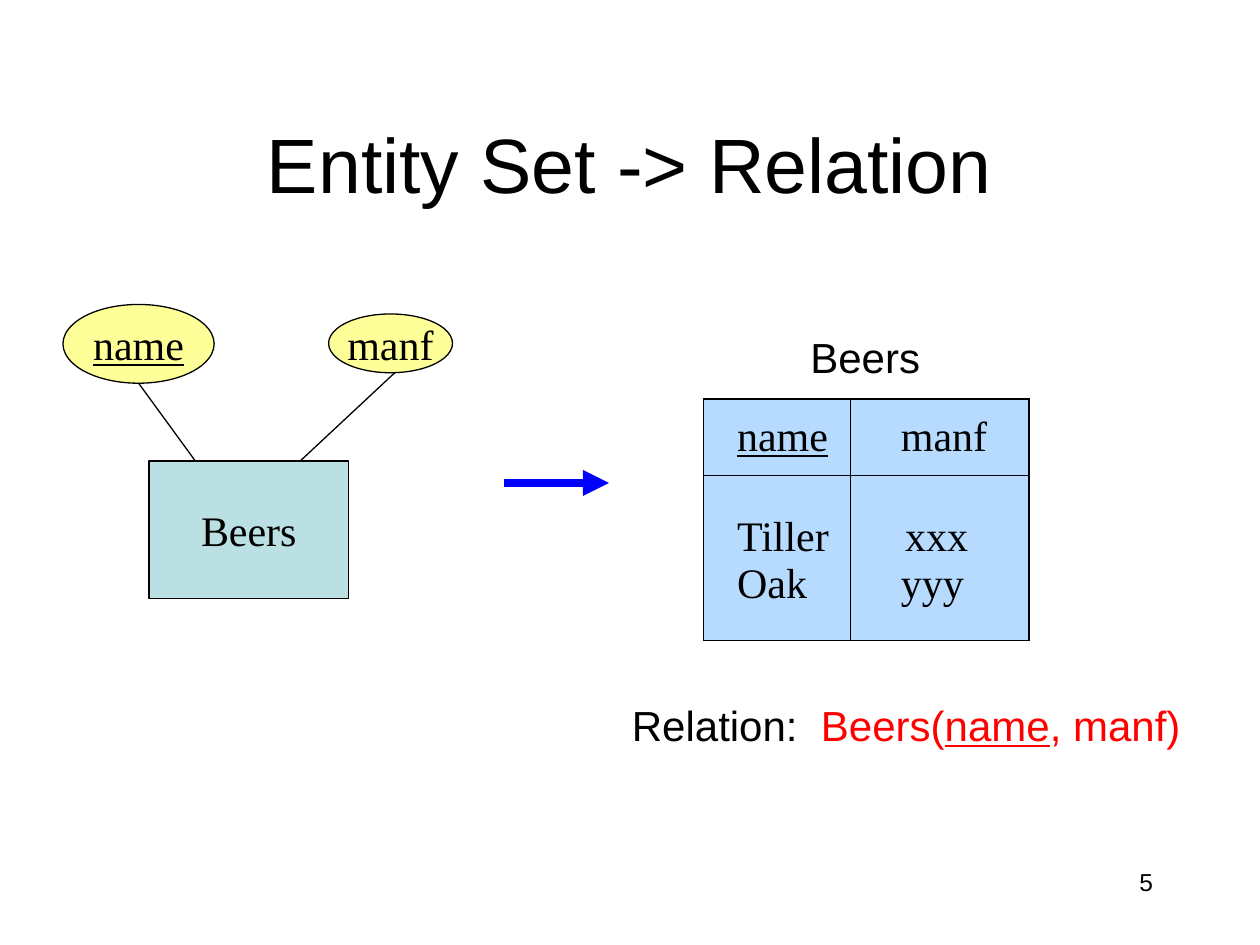
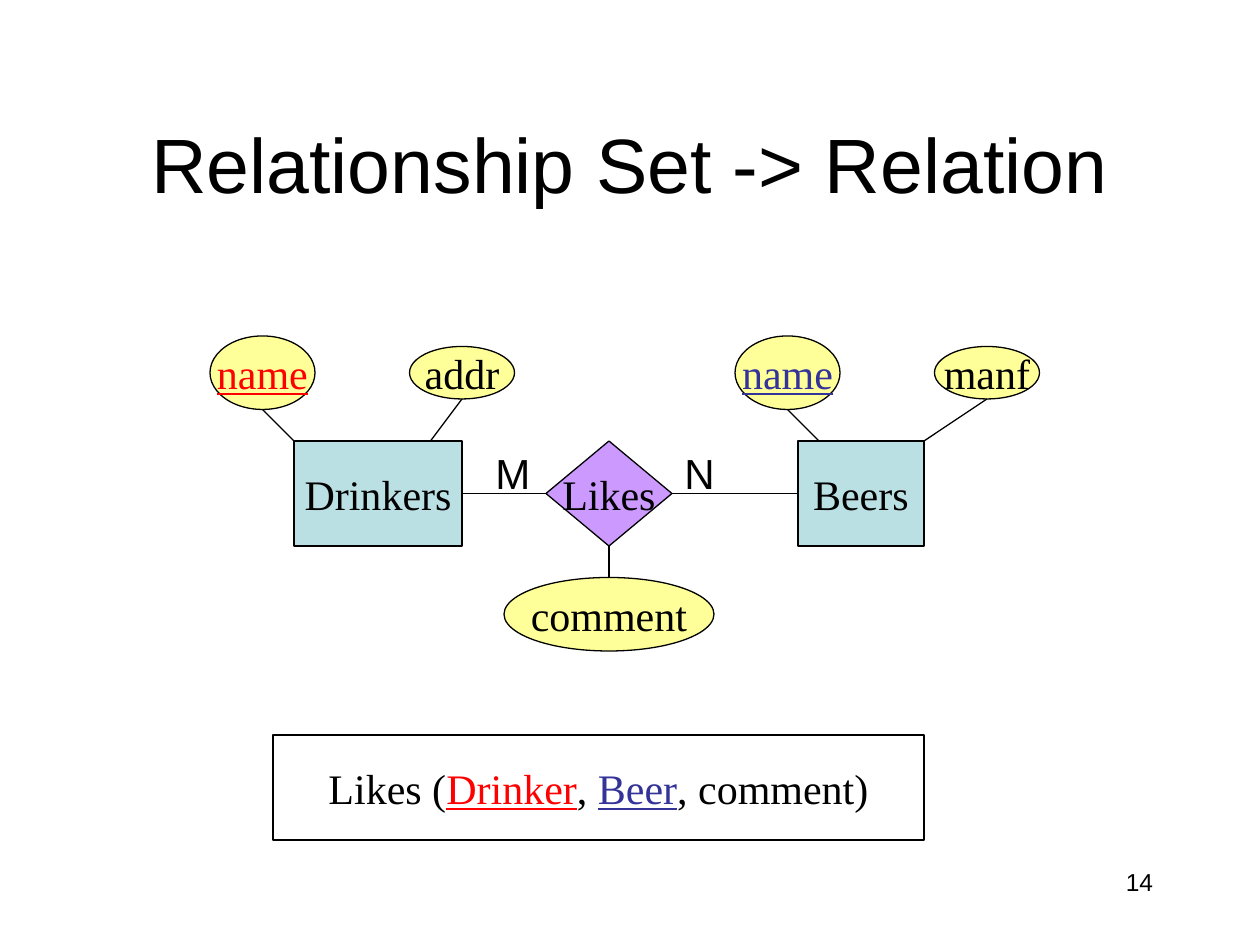
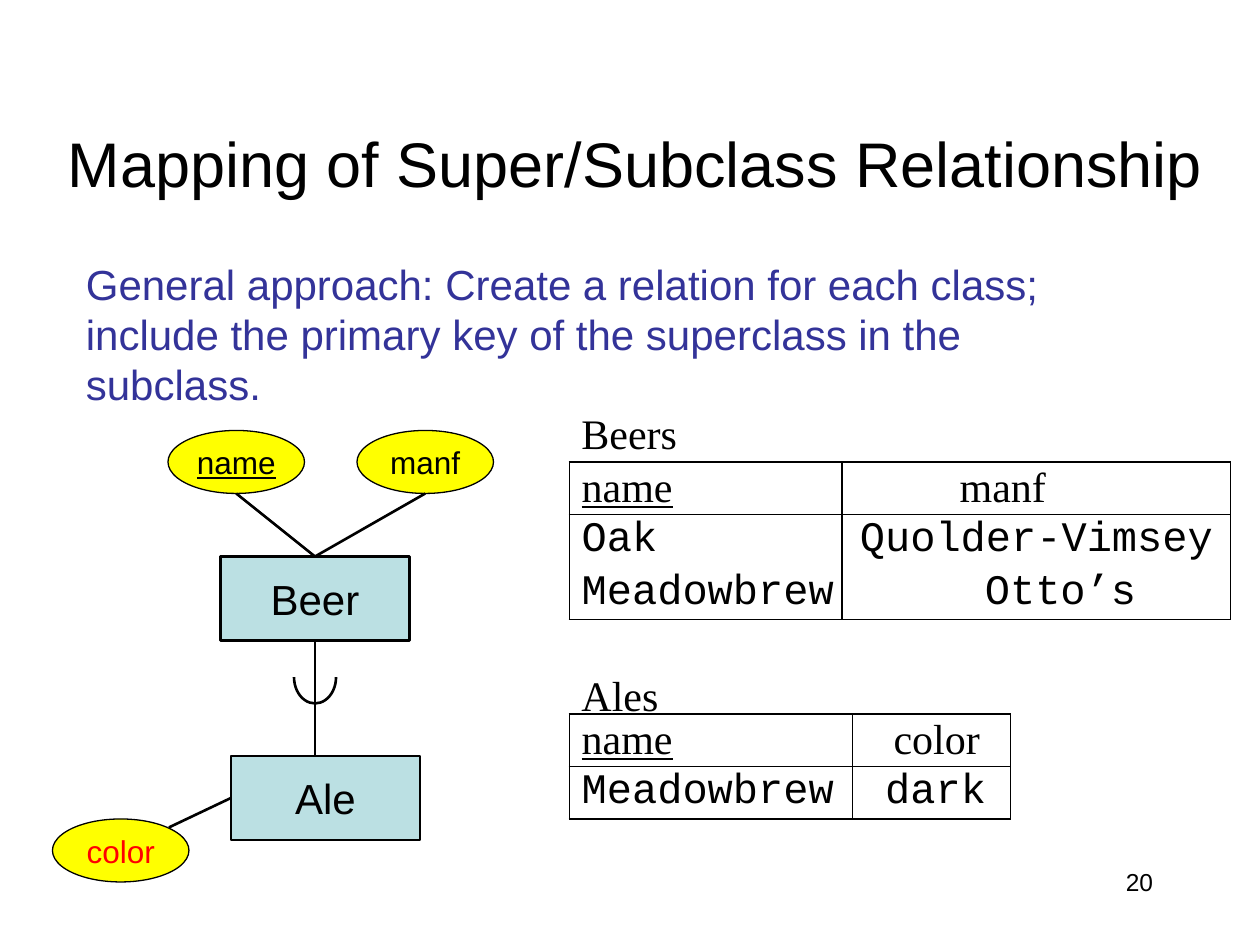
from dataclasses import dataclass
from typing import NamedTuple, Optional, Union

from lxml import etree
from pptx import Presentation
from pptx import util as u
from pptx.dml.color import RGBColor
from pptx.enum import shapes, text
from pptx.oxml import ns

PX = 7620
BLACK = RGBColor(0x00, 0x00, 0x00)
RED = RGBColor(0xFF, 0x00, 0x00)
BLUE = RGBColor(0x00, 0x00, 0xFF)
INDIGO = RGBColor(0x33, 0x33, 0x99)
TEAL = RGBColor(0xBB, 0xE0, 0xE3)
CREAM = RGBColor(0xFF, 0xFF, 0x99)
YELLOW = RGBColor(0xFF, 0xFF, 0x00)
PURPLE = RGBColor(0xCC, 0x99, 0xFF)
SKY = RGBColor(0xB6, 0xDB, 0xFF)

SANS, SERIF, MONO = "Arial", "Times New Roman", "Courier New"
RECT = shapes.MSO_SHAPE.RECTANGLE
OVAL = shapes.MSO_SHAPE.OVAL
DIAMOND = shapes.MSO_SHAPE.DIAMOND
TOP, LEFT, BOTTOM, RIGHT = range(4)
UPPER, MIDDLE, LOWER = (
    text.MSO_ANCHOR.TOP, text.MSO_ANCHOR.MIDDLE, text.MSO_ANCHOR.BOTTOM)


class Box(NamedTuple):
    x: int
    y: int
    w: int
    h: int


class Point(NamedTuple):
    x: int
    y: int


class Site(NamedTuple):
    shape: object
    side: int


class Run(NamedTuple):
    text: str
    color: Optional[RGBColor] = None
    underline: bool = False


class Style(NamedTuple):
    font: str = SERIF
    size: int = 24
    color: RGBColor = BLACK
    align: text.PP_ALIGN = text.PP_ALIGN.LEFT


@dataclass
class Node:
    kind: shapes.MSO_SHAPE
    box: Box
    runs: list[Run]
    fill: Optional[RGBColor]
    font: str = SERIF
    size: int = 24
    weight: float = 0.75


class Cell(NamedTuple):
    run: Run
    indent: int
    font: str = SERIF


class Row(NamedTuple):
    height: int
    cells: list[Cell]
    anchor: text.MSO_ANCHOR = MIDDLE


@dataclass
class Relation:
    x: int
    y: int
    widths: list[int]
    rows: list[Row]
    fill: Optional[RGBColor] = None


def px(*lengths: int) -> list[u.Emu]:
    return [u.Emu(n * PX) for n in lengths]


def write(tf, runs: list[Run], style: Style) -> None:
    p = tf.paragraphs[0]
    p.alignment = style.align
    p.font.name, p.font.size = style.font, u.Pt(style.size)
    p.font.color.rgb = style.color
    for run in runs:
        r = p.add_run()
        r.text = run.text
        if run.color is not None:
            r.font.color.rgb = run.color
        if run.underline:
            r.font.underline = True


def paint(fill, color: Optional[RGBColor]) -> None:
    if color is None:
        fill.background()
    else:
        fill.solid()
        fill.fore_color.rgb = color


def add_label(s, box: Box, runs: list[Run], style: Style) -> None:
    tf = s.shapes.add_textbox(*px(*box)).text_frame
    tf.word_wrap = True
    write(tf, runs, style)


def add_node(s, node: Node):
    sp = s.shapes.add_shape(node.kind, *px(*node.box))
    sp.shadow.inherit = False
    paint(sp.fill, node.fill)
    sp.line.color.rgb, sp.line.width = BLACK, u.Pt(node.weight)
    tf = sp.text_frame
    tf.word_wrap = False
    tf.vertical_anchor = MIDDLE
    write(tf, node.runs,
          Style(node.font, node.size, align=text.PP_ALIGN.CENTER))
    return sp


def add_link(s, start: Union[Point, Site], end: Union[Point, Site],
             weight: float = 0.75, color: RGBColor = BLACK,
             arrow: bool = False) -> None:
    first = start if isinstance(start, Point) else Point(0, 0)
    last = end if isinstance(end, Point) else Point(0, 0)
    c = s.shapes.add_connector(
        shapes.MSO_CONNECTOR.STRAIGHT, *px(*first, *last))
    if isinstance(start, Site):
        c.begin_connect(start.shape, start.side)
    if isinstance(end, Site):
        c.end_connect(end.shape, end.side)
    c.line.color.rgb, c.line.width = color, u.Pt(weight)
    if arrow:
        etree.SubElement(c.line._get_or_add_ln(), ns.qn("a:tailEnd"),
                         type="triangle")
    etree.SubElement(c._element.spPr, ns.qn("a:effectLst"))


def add_border(cell, side: str, visible: bool) -> None:
    ln = etree.SubElement(cell._tc.get_or_add_tcPr(), ns.qn(f"a:ln{side}"),
                          w=str(u.Pt(0.75)))
    if visible:
        fill = etree.SubElement(ln, ns.qn("a:solidFill"))
        etree.SubElement(fill, ns.qn("a:srgbClr"), val=str(BLACK))
    else:
        etree.SubElement(ln, ns.qn("a:noFill"))


def add_relation(s, rel: Relation) -> None:
    size = sum(rel.widths), sum(row.height for row in rel.rows)
    table = s.shapes.add_table(len(rel.rows), len(rel.widths),
                               *px(rel.x, rel.y, *size)).table
    table.first_row = table.horz_banding = False
    for column, width in zip(table.columns, px(*rel.widths)):
        column.width = width
    last = len(rel.rows) - 1
    for i, row in enumerate(rel.rows):
        table.rows[i].height = u.Emu(row.height * PX)
        for j, item in enumerate(row.cells):
            cell = table.cell(i, j)
            cell.margin_left = u.Emu(item.indent * PX)
            cell.margin_right = cell.margin_top = cell.margin_bottom = 0
            cell.vertical_anchor = row.anchor
            for side, visible in (("L", True), ("R", True),
                                  ("T", i <= 1), ("B", i in (0, last))):
                add_border(cell, side, visible)
            paint(cell.fill, rel.fill)
            write(cell.text_frame, [item.run], Style(item.font))


def add_slide(prs, title: str, number: int,
              box: Box = Box(90, 80, 1020, 150), size: int = 44):
    s = prs.slides.add_slide(prs.slide_layouts[5])
    sp = s.shapes.title
    sp.left, sp.top, sp.width, sp.height = px(*box)
    sp.text_frame.vertical_anchor = MIDDLE
    write(sp.text_frame, [Run(title)],
          Style(SANS, size, align=text.PP_ALIGN.CENTER))
    add_label(s, Box(860, 820, 250, 60), [Run(str(number))],
              Style(SANS, 14, align=text.PP_ALIGN.RIGHT))
    return s


def entity_set(prs) -> None:
    s = add_slide(prs, "Entity Set -> Relation", 5)
    add_relation(s, Relation(670, 380, [140, 170], [
        Row(73, [Cell(Run("name", underline=True), 32),
                 Cell(Run("manf"), 48)]),
        Row(81, [Cell(Run("Tiller"), 32), Cell(Run("xxx"), 52)], LOWER),
        Row(76, [Cell(Run("Oak"), 32), Cell(Run("yyy"), 48)], UPPER),
    ], SKY))
    for node in (
        Node(RECT, Box(142, 439, 190, 131), [Run("Beers")], TEAL),
        Node(OVAL, Box(60, 290, 144, 75), [Run("name", underline=True)],
             CREAM),
        Node(OVAL, Box(313, 299, 118, 56), [Run("manf")], CREAM),
    ):
        add_node(s, node)
    add_link(s, Point(132, 365), Point(186, 439))
    add_link(s, Point(376, 355), Point(286, 439))
    add_link(s, Point(480, 460), Point(580, 460), 5, BLUE, arrow=True)
    add_label(s, Box(760, 310, 170, 60), [Run("Beers")], Style(SANS))
    add_label(s, Box(590, 660, 560, 60),
              [Run("Relation:  "), Run("Beers(", RED),
               Run("name", RED, True), Run(", manf)", RED)], Style(SANS))


def relationship_set(prs) -> None:
    s = add_slide(prs, "Relationship Set -> Relation", 14)
    drinkers, beers, likes = (add_node(s, node) for node in (
        Node(RECT, Box(280, 420, 160, 100), [Run("Drinkers")], TEAL),
        Node(RECT, Box(760, 420, 120, 100), [Run("Beers")], TEAL),
        Node(DIAMOND, Box(520, 420, 120, 100), [Run("Likes")], PURPLE),
    ))
    for x, key_color, other, other_end, key_end in (
        (200, RED, "addr", 410, 280),
        (700, INDIGO, "manf", 880, 780),
    ):
        add_node(s, Node(OVAL, Box(x, 320, 100, 70),
                         [Run("name", key_color, True)], CREAM))
        add_node(s, Node(OVAL, Box(x + 190, 330, 100, 50), [Run(other)],
                         CREAM))
        add_link(s, Point(x + 50, 390), Point(key_end, 420))
        add_link(s, Point(x + 240, 380), Point(other_end, 420))
    add_node(s, Node(OVAL, Box(480, 550, 200, 70), [Run("comment")], CREAM))
    add_link(s, Site(drinkers, RIGHT), Site(likes, LEFT))
    add_link(s, Site(likes, RIGHT), Site(beers, LEFT))
    add_link(s, Point(580, 550), Site(likes, BOTTOM))
    for x, cardinality in ((460, "M"), (640, "N")):
        add_label(s, Box(x, 420, 60, 60), [Run(cardinality)], Style(SANS))
    add_node(s, Node(RECT, Box(260, 700, 620, 100), [
        Run("Likes ("), Run("Drinker", RED, True), Run(", "),
        Run("Beer", INDIGO, True), Run(", comment)")], None))


def subclass(prs) -> None:
    s = add_slide(prs, "Mapping of Super/Subclass Relationship", 20,
                  Box(40, 80, 1130, 150), 36)
    add_label(s, Box(70, 240, 1010, 156),
              [Run("General approach: Create a relation for each class; "
                   "include the primary key of the superclass in the "
                   "subclass.")], Style(SANS, color=INDIGO))
    beer, ale = (
        add_node(s, Node(RECT, Box(x, y, 180, 80), [Run(name)], TEAL, SANS,
                         weight=1.5))
        for x, y, name in ((210, 530, "Beer"), (220, 720, "Ale")))
    for x, y, run in ((160, 410, Run("name", underline=True)),
                      (340, 410, Run("manf")),
                      (50, 780, Run("color", RED))):
        add_node(s, Node(OVAL, Box(x, y, 130, 60), [run], YELLOW, SANS, 18))
    for x in (225, 405):
        add_link(s, Point(x, 470), Site(beer, TOP), 1.5)
    add_link(s, Site(beer, BOTTOM), Point(300, 720), 1.5)
    add_link(s, Point(161, 788), Site(ale, LEFT), 1.5)
    arc = add_node(s, Node(shapes.MSO_SHAPE.ARC, Box(280, 620, 40, 50), [],
                           None, weight=1.5))
    arc.adjustments[0], arc.adjustments[1] = 0, 108

    key = Cell(Run("name", underline=True), 12)
    summer = Cell(Run("Meadowbrew"), 12, MONO)
    for y, name in ((382, "Beers"), (632, "Ales")):
        add_label(s, Box(542, y, 120, 60), [Run(name)], Style())
    add_relation(s, Relation(542, 440, [260, 370], [
        Row(50, [key, Cell(Run("manf"), 112)]),
        Row(50, [Cell(Run("Oak"), 12, MONO),
                 Cell(Run("Quolder-Vimsey"), 17, MONO)]),
        Row(50, [summer, Cell(Run("Otto’s"), 136, MONO)]),
    ]))
    add_relation(s, Relation(542, 680, [270, 150], [
        Row(50, [key, Cell(Run("color"), 39)]),
        Row(50, [summer, Cell(Run("dark"), 31, MONO)]),
    ]))


def main() -> None:
    prs = Presentation()
    prs.slide_width, prs.slide_height = px(1200, 900)
    entity_set(prs)
    relationship_set(prs)
    subclass(prs)
    prs.save("out.pptx")


if __name__ == "__main__":
    main()
